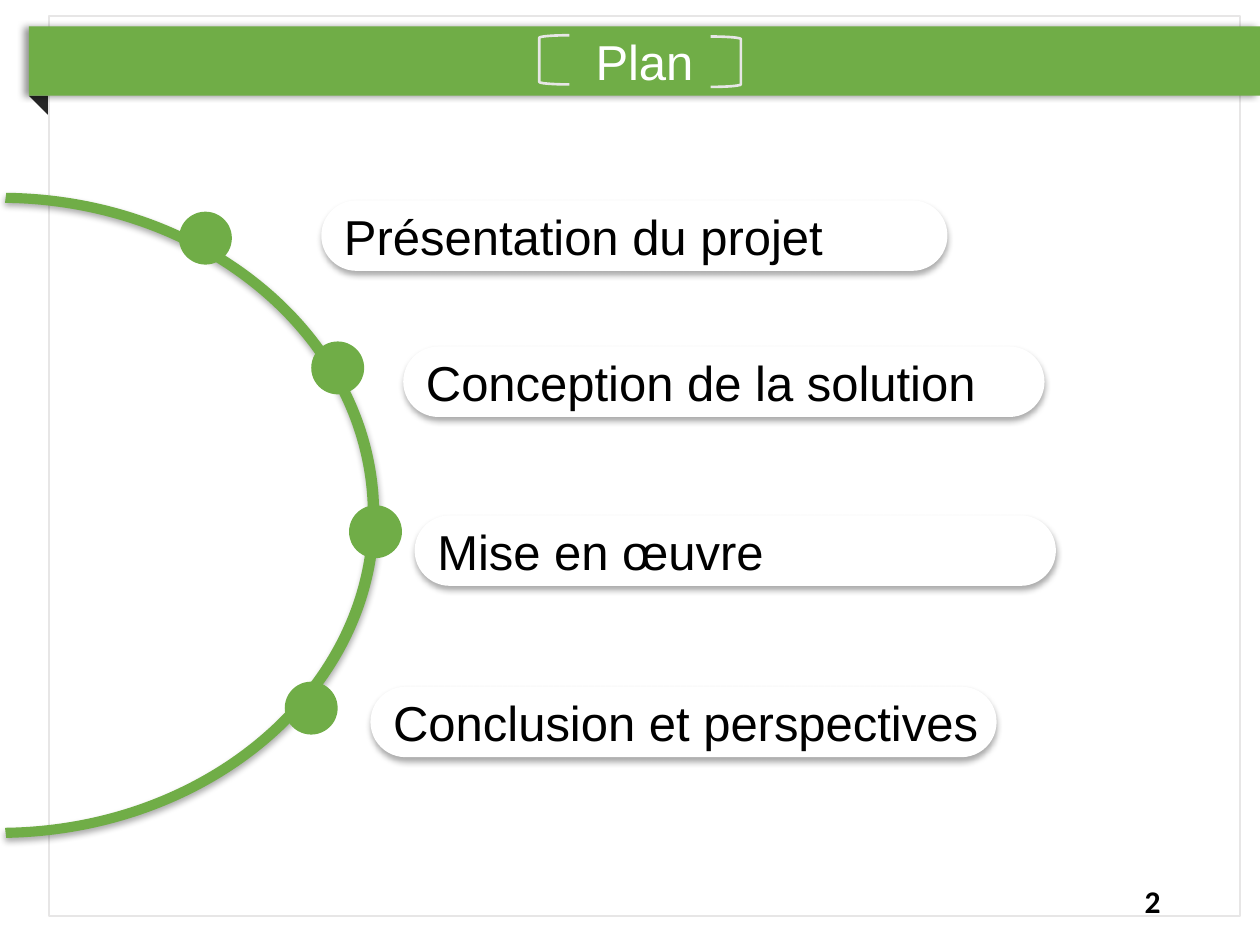
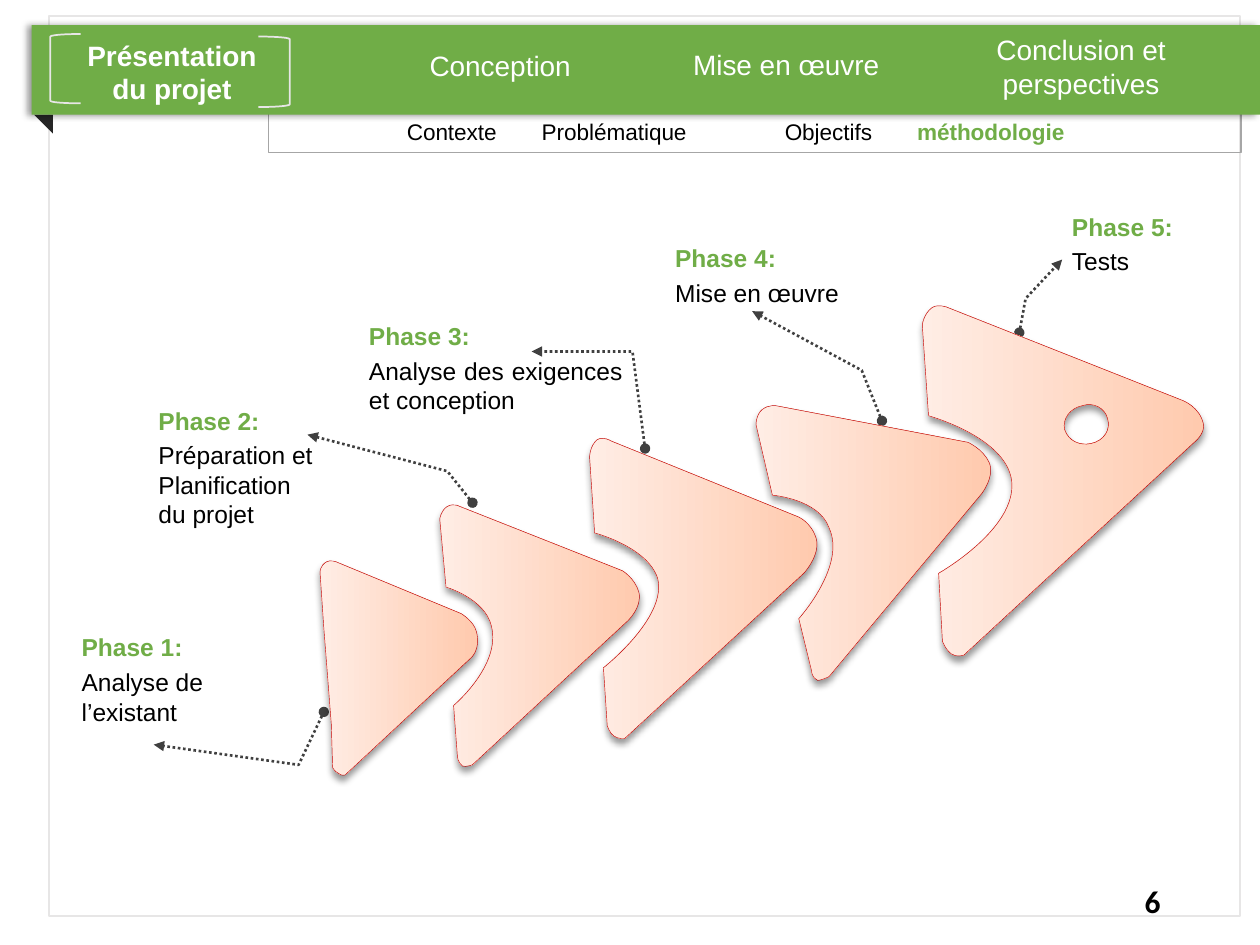
from lxml import etree
from pptx import Presentation
from pptx.dml.color import RGBColor
from pptx.enum.dml import MSO_LINE
from pptx.enum.shapes import MSO_SHAPE
from pptx.enum.text import MSO_ANCHOR, MSO_AUTO_SIZE, PP_ALIGN
from pptx.oxml.ns import qn
from pptx.util import Inches, Pt

RECT, ROUND_RECT, OVAL = MSO_SHAPE.RECTANGLE, MSO_SHAPE.ROUNDED_RECTANGLE, MSO_SHAPE.OVAL
LEFT_BRACKET, RIGHT_BRACKET = MSO_SHAPE.LEFT_BRACKET, MSO_SHAPE.RIGHT_BRACKET
FOLD = MSO_SHAPE.RIGHT_TRIANGLE
LEFT, CENTER, RIGHT, JUSTIFY = PP_ALIGN.LEFT, PP_ALIGN.CENTER, PP_ALIGN.RIGHT, PP_ALIGN.JUSTIFY
TOP, MIDDLE = MSO_ANCHOR.TOP, MSO_ANCHOR.MIDDLE
DOTTED = MSO_LINE.ROUND_DOT

COLORS = {
    "green": "70AD47", "white": "FFFFFF", "black": "000000", "fold": "262626",
    "frame": "E7E6E6", "nav": "A6A6A6", "arrow": "404040", "edge": "C00000",
    "peach": "FFCAAE", "pale peach": "FFEDE5",
}
# Shadow kinds: opacity %, blur pt, distance pt, direction in degrees
SHADOWS = {"card": (32, 3.5, 2.2, 90), "band": (40, 4, 3, 180), "phase": (40, 4, 3, 90)}
shadowed = []


def draw(slide, kind, box, fill=None, line=None, width=1.0, shadow=None):
    """Add a preset shape, or a text box when kind is None; box is in inches."""
    area = [Inches(value) for value in box]
    if kind is None:
        return slide.shapes.add_textbox(*area)
    shape = slide.shapes.add_shape(kind, *area)
    shape.shadow.inherit = False
    for part, color in ((shape.fill, fill), (shape.line.fill, line)):
        if color:
            part.solid()
            part.fore_color.rgb = RGBColor.from_string(COLORS[color])
        else:
            part.background()
    if line:
        shape.line.width = Pt(width)
    if shadow:
        shadowed.append((shape, shadow))
    return shape


def write(shape, text, size=14, color="black", bold=False, font="Arial", align=LEFT,
          anchor=TOP, wrap=True, before=0, same_line=False):
    """Add text as a new paragraph, or as a run of the last one with same_line."""
    frame = shape.text_frame
    frame.word_wrap, frame.vertical_anchor = wrap, anchor
    frame.auto_size = MSO_AUTO_SIZE.NONE
    if frame.text and not same_line:
        paragraph = frame.add_paragraph()
    else:
        paragraph = frame.paragraphs[-1]
    paragraph.alignment, paragraph.space_before = align, Pt(before)
    run = paragraph.add_run()
    run.text = text
    run.font.name, run.font.size, run.font.bold = font, Pt(size), bold
    run.font.color.rgb = RGBColor.from_string(COLORS[color])


prs = Presentation()
prs.slide_width, prs.slide_height = Inches(10), Inches(7.5)
plan, phases = [prs.slides.add_slide(prs.slide_layouts[5]) for _ in range(2)]
for slide, number in ((plan, "2"), (phases, "6")):
    draw(slide, RECT, (0.39, 0.13, 9.45, 7.14), line="frame")
    page = draw(slide, None, (7.06, 6.95, 2.25, 0.4))
    write(page, number, 18, bold=True, font="Calibri", align=RIGHT, anchor=MIDDLE)

# Dotted arrows from each phase to its caption
arrows = [
    [(2.57, 5.65), (2.37, 6.07), (1.22, 5.91)],
    [(3.75, 3.99), (3.55, 3.74), (2.44, 3.45)],
    [(5.12, 3.56), (5.02, 2.79), (4.22, 2.79)],
    [(7, 3.34), (6.84, 2.94), (5.97, 2.47)],
    [(8.09, 2.64), (8.14, 2.37), (8.43, 2.06)],
]
for route in arrows:
    start, *bends = [(Inches(x), Inches(y)) for x, y in route]
    builder = phases.shapes.build_freeform(*start)
    builder.add_line_segments(bends, close=False)
    arrow = builder.convert_to_shape()
    arrow.shadow.inherit = False
    arrow.fill.background()
    arrow.line.color.rgb = RGBColor.from_string(COLORS["arrow"])
    arrow.line.width, arrow.line.dash_style = Pt(1.5), DOTTED
    stroke = arrow._element.spPr.find(qn("a:ln"))
    etree.SubElement(stroke, qn("a:headEnd"), type="oval")
    etree.SubElement(stroke, qn("a:tailEnd"), type="triangle")

# Outlines: contours of points (x, y) and cubic curves (two controls, then the end)
arc = [[(0.04, 1.61), (1.64, 1.63, 2.92, 2.73, 2.92, 4.09), (2.92, 5.44, 1.64, 6.55, 0.04, 6.57),
        (0.05, 6.65), (1.69, 6.62, 3.01, 5.49, 3.01, 4.09), (3.01, 2.69, 1.69, 1.55, 0.05, 1.53)]]
phase_1 = [[(2.57, 4.98), (2.54, 4.54), (2.54, 4.54, 2.54, 4.49, 2.59, 4.46),
            (2.62, 4.44, 2.67, 4.46, 2.67, 4.46), (3.66, 4.87),
            (3.66, 4.87, 3.76, 4.93, 3.78, 5.01), (3.82, 5.15, 3.74, 5.22, 3.74, 5.22),
            (2.74, 6.15), (2.74, 6.15, 2.71, 6.16, 2.69, 6.14),
            (2.65, 6.12, 2.64, 6.09, 2.64, 6.09), (2.63, 5.75)]]
phase_2 = [[(5.07, 4.7), (5.1, 4.82, 4.98, 4.93, 4.98, 4.93), (3.75, 6.07),
            (3.75, 6.07, 3.7, 6.09, 3.67, 6.08), (3.63, 6.05, 3.63, 6, 3.63, 6), (3.6, 5.6),
            (3.6, 5.6, 3.98, 5.28, 3.9, 4.97), (3.85, 4.75, 3.54, 4.66, 3.54, 4.66),
            (3.49, 4.12), (3.49, 4.12, 3.5, 4.05, 3.55, 4.02),
            (3.6, 3.99, 3.65, 4.02, 3.65, 4.02), (4.94, 4.53),
            (4.94, 4.53, 5.04, 4.59, 5.07, 4.7)]]
phase_3 = [[(6.48, 4.28), (6.51, 4.41, 6.38, 4.55, 6.38, 4.55), (4.96, 5.86),
            (4.96, 5.86, 4.91, 5.87, 4.87, 5.84), (4.84, 5.82, 4.82, 5.76, 4.82, 5.76),
            (4.79, 5.3), (4.79, 5.3, 5.3, 4.9, 5.22, 4.59),
            (5.14, 4.34, 4.72, 4.23, 4.72, 4.23), (4.68, 3.63),
            (4.68, 3.63, 4.68, 3.54, 4.74, 3.49), (4.79, 3.46, 4.85, 3.5, 4.85, 3.5),
            (6.33, 4.1), (6.33, 4.1, 6.44, 4.14, 6.48, 4.28)]]
phase_4 = [[(7.85, 3.67), (7.9, 3.78, 7.79, 3.92, 7.79, 3.92), (6.58, 5.37),
            (6.58, 5.37, 6.52, 5.4, 6.49, 5.4), (6.44, 5.38, 6.44, 5.32, 6.44, 5.32),
            (6.34, 4.91), (6.34, 4.91, 6.72, 4.49, 6.58, 4.19),
            (6.5, 3.96, 6.13, 3.93, 6.13, 3.93), (6, 3.37),
            (6, 3.37, 6, 3.29, 6.05, 3.25), (6.1, 3.21, 6.16, 3.22, 6.16, 3.22),
            (7.68, 3.51), (7.68, 3.51, 7.8, 3.56, 7.85, 3.67)]]
phase_5 = [[(7.55, 5.19), (7.5, 5.15, 7.48, 5.09, 7.48, 5.09), (7.45, 4.55),
            (7.45, 4.55, 8.07, 4.2, 8.03, 3.82), (7.99, 3.47, 7.37, 3.3, 7.37, 3.3),
            (7.32, 2.58), (7.32, 2.58, 7.33, 2.49, 7.4, 2.44),
            (7.45, 2.41, 7.52, 2.44, 7.52, 2.44), (9.39, 3.18),
            (9.39, 3.18, 9.52, 3.23, 9.55, 3.36), (9.57, 3.44, 9.48, 3.51, 9.48, 3.51),
            (7.65, 5.2), (7.65, 5.2, 7.59, 5.22, 7.55, 5.19)],
           [(8.59, 3.22), (8.49, 3.24, 8.43, 3.33, 8.45, 3.41), (8.48, 3.5, 8.57, 3.54, 8.66, 3.52),
            (8.76, 3.5, 8.82, 3.41, 8.79, 3.32), (8.77, 3.24, 8.68, 3.19, 8.59, 3.22)]]

outlines = [(plan, arc, "card")]
outlines += [(phases, contours, "phase")
             for contours in (phase_5, phase_3, phase_2, phase_1, phase_4)]
for slide, contours, shadow in outlines:
    builder = None
    for contour in contours:
        first, *others = [(Inches(step[-2]), Inches(step[-1])) for step in contour]
        if builder is None:
            builder = slide.shapes.build_freeform(*first)
        else:
            builder.move_to(*first)
        builder.add_line_segments(others, close=False)
        builder.add_line_segments([], close=True)
    outline = builder.convert_to_shape()

    # Turn the straight segments that stand for curves into cubic curves
    segments = list(outline._element.iter(qn("a:lnTo")))
    steps = [step for contour in contours for step in contour[1:]]
    for segment, step in zip(segments, steps):
        if len(step) == 6:
            curve = etree.Element(qn("a:cubicBezTo"))
            for x, y in zip(step[::2], step[1::2]):
                etree.SubElement(curve, qn("a:pt"), x=str(Inches(x) - outline.left),
                                 y=str(Inches(y) - outline.top))
            segment.getparent().replace(segment, curve)

    outline.shadow.inherit = False
    shadowed.append((outline, shadow))
    if slide is plan:
        outline.fill.solid()
        outline.fill.fore_color.rgb = RGBColor.from_string(COLORS["green"])
        outline.line.fill.background()
    else:
        outline.fill.gradient()
        outline.fill.gradient_angle = 180
        for stop, color in zip(outline.fill.gradient_stops, ("peach", "pale peach")):
            stop.color.rgb = RGBColor.from_string(COLORS[color])
        outline.line.color.rgb = RGBColor.from_string(COLORS["edge"])
        outline.line.width = Pt(0.25)

# Plan: a dot on the arc and a card for each chapter
chapters = [
    ("Présentation du projet", (1.42, 1.68), (2.55, 1.59, 4.97, 0.56)),
    ("Conception de la solution", (2.47, 2.71), (3.2, 2.75, 5.09, 0.56)),
    ("Mise en œuvre", (2.77, 4.01), (3.29, 4.09, 5.09, 0.56)),
    ("Conclusion et perspectives", (2.26, 5.41), (2.94, 5.45, 4.97, 0.56)),
]
for chapter, dot, box in chapters:
    draw(plan, OVAL, (*dot, 0.42, 0.42), fill="green")
    card = draw(plan, ROUND_RECT, box, fill="white", shadow="card")
    card.adjustments[0] = 0.5
    write(card, chapter, 28, anchor=MIDDLE, wrap=False)

# Phase captions
captions = [
    ("Analyse de l’existant", (0.55, 4.97, 1.9, 0.92), LEFT),
    ("Préparation et Planification du projet", (1.16, 3.17, 1.5, 0.92), LEFT),
    ("Analyse des exigences et conception", (2.83, 2.5, 2.21, 0.85), JUSTIFY),
    ("Mise en œuvre", (5.26, 1.88, 2.32, 0.92), JUSTIFY),
    ("Tests", (8.41, 1.63, 1.46, 0.92), JUSTIFY),
]
for number, (activity, box, align) in enumerate(captions, 1):
    caption = draw(phases, None, box)
    write(caption, f"Phase {number}:", color="green", bold=True, align=JUSTIFY, before=3)
    write(caption, activity, align=align, before=3)

# Sub-navigation, spaced with tab stops
nav = draw(phases, RECT, (2.13, 0.89, 7.72, 0.32), line="nav", width=0.75)
for topic in ("Contexte", "Problématique", "Objectifs", "méthodologie"):
    current = topic == "méthodologie"
    write(nav, "\t" + topic, 12.9, "green" if current else "black", current,
          before=3.2, same_line=True)
tab_stops = etree.SubElement(nav.text_frame.paragraphs[0]._p.get_or_add_pPr(), qn("a:tabLst"))
for stop in (1, 2.07, 4, 5.05):
    etree.SubElement(tab_stops, qn("a:tab"), pos=str(Inches(stop)), algn="l")

# Header: ribbon, fold, brackets around the title
headers = [
    (plan, "Plan", (0.23, 0.21, 9.77, 0.55), (0.23, 0.21, 9.77, 0.55), 28, False, 0.23,
     (4.28, 0.28, 0.24, 0.39), (5.64, 0.29, 0.24, 0.4), 1.5),
    (phases, "Présentation du projet", (0.25, 0.2, 9.75, 0.71), (0.53, 0.25, 1.67, 0.64), 16, True,
     0.27, (0.4, 0.27, 0.24, 0.55), (2.05, 0.29, 0.25, 0.56), 1),
]
for slide, heading, band, title_box, size, bold, fold_left, opening, closing, width in headers:
    fold = draw(slide, FOLD, (fold_left, band[1] + band[3], 0.15, 0.15), fill="fold")
    fold.rotation = 180
    draw(slide, RECT, band, fill="green", shadow="band")
    draw(slide, LEFT_BRACKET, opening, line="frame", width=width)
    draw(slide, RIGHT_BRACKET, closing, line="frame", width=width)
    title = slide.shapes.title
    title.left, title.top, title.width, title.height = [Inches(value) for value in title_box]
    write(title, heading, size, "white", bold, align=CENTER, anchor=MIDDLE)
    slide.shapes._spTree.append(title._element)  # bring in front of the ribbon

sections = [
    ("Conception", (2.95, 0.34, 2.04, 0.37)),
    ("Mise en œuvre", (5.22, 0.33, 2.04, 0.37)),
    ("Conclusion et perspectives", (7.62, 0.21, 1.92, 0.64)),
]
for section, box in sections:
    write(draw(phases, None, box), section, 16, "white", align=CENTER)

for shape, kind in shadowed:
    opacity, blur, distance, direction = SHADOWS[kind]
    effects = shape._element.spPr.find(qn("a:effectLst"))
    outer = etree.SubElement(effects, qn("a:outerShdw"), blurRad=str(Pt(blur)),
                             dist=str(Pt(distance)), dir=str(direction * 60000),
                             algn="ctr", rotWithShape="0")
    black = etree.SubElement(outer, qn("a:srgbClr"), val=COLORS["black"])
    etree.SubElement(black, qn("a:alpha"), val=str(opacity * 1000))

prs.save("out.pptx")
